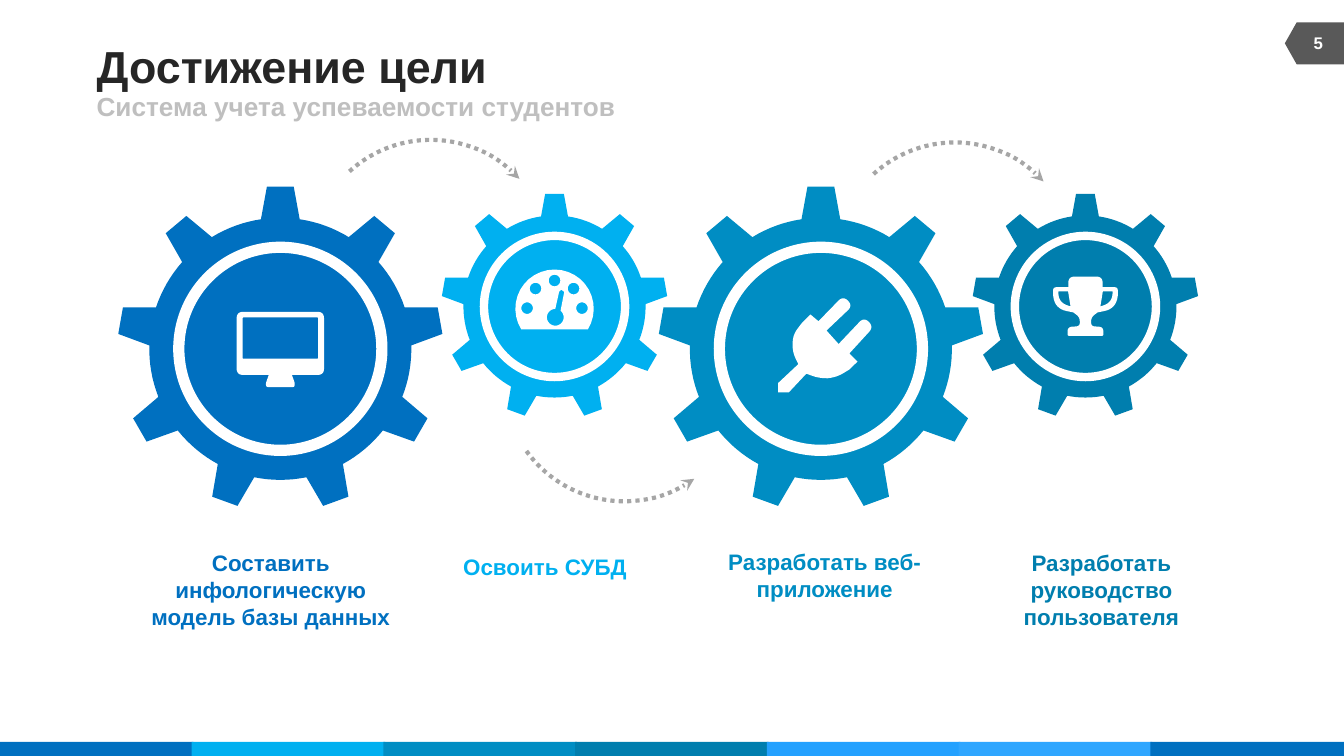
"""Build the goal-achievement slide with four linked gears."""
from dataclasses import dataclass
from itertools import chain
from math import cos, hypot, radians, sin
from typing import Any, NamedTuple, Sequence

from lxml import etree
from pptx import Presentation
from pptx import util as u
from pptx.dml.color import RGBColor
from pptx.enum import dml, shapes, text
from pptx.oxml.ns import qn


@dataclass(frozen=True)
class Theme:
    font: str = "Arial"
    blue: str = "0070C0"
    sky: str = "00B0F0"
    teal: str = "008DC3"
    deep: str = "007EAE"
    azure: str = "23A1FF"
    light: str = "2FA6FF"
    white: str = "FFFFFF"
    ink: str = "262626"
    muted: str = "BFBFBF"
    arrow: str = "A6A6A6"
    tag: str = "595959"
    title_size: float = 24
    subtitle_size: float = 14
    caption_size: float = 12
    number_size: float = 9


class Point(NamedTuple):
    x: float
    y: float


class Corner(NamedTuple):
    x: float
    y: float
    radius: float = 0


class Box(NamedTuple):
    left: float
    top: float
    width: float
    height: float


@dataclass(frozen=True)
class Label:
    words: str
    box: Box
    size: float
    color: str
    align: Any = text.PP_ALIGN.CENTER


@dataclass(frozen=True)
class Gear:
    center: Point
    scale: float
    color: str
    icon: Sequence[Sequence[Point]]


@dataclass(frozen=True)
class Arrow:
    box: Box
    rotation: float
    flipped: bool = False


THEME = Theme()


def apply(target: Any, values: dict[str, Any]) -> None:
    for name, value in values.items():
        setattr(target, name, value)


def emu(box: Box) -> list[int]:
    return [u.Pt(length) for length in box]


def arc(center: Point, radius: float, start: float, end: float, steps: int = 24) -> list[Point]:
    angles = [radians(start + (end - start) * step / steps) for step in range(steps + 1)]
    return [Point(center.x + radius * cos(a), center.y + radius * sin(a)) for a in angles]


def toward(corner: Corner, other: Corner) -> Point:
    ratio = corner.radius / hypot(other.x - corner.x, other.y - corner.y)
    return Point(corner.x + (other.x - corner.x) * ratio, corner.y + (other.y - corner.y) * ratio)


def rounded(*vertices: tuple[float, ...]) -> list[Point]:
    corners = [Corner(*vertex) for vertex in vertices]
    points = []
    for index, corner in enumerate(corners):
        if not corner.radius:
            points.append(Point(corner.x, corner.y))
            continue
        enter = toward(corner, corners[index - 1])
        leave = toward(corner, corners[(index + 1) % len(corners)])
        for t in (step / 8 for step in range(9)):
            weights = (1 - t) ** 2, 2 * t * (1 - t), t ** 2
            points.append(Point(*(sum(w * p[axis] for w, p in zip(weights, (enter, corner, leave)))
                                  for axis in (0, 1))))
    return points


def mirrored(points: Sequence[Point]) -> list[Point]:
    return [Point(-point.x, point.y) for point in reversed(points)]


def symmetric(*vertices: tuple[float, ...]) -> list[Point]:
    left = [(-vertex[0], *vertex[1:]) for vertex in reversed(vertices)]
    return rounded(*vertices, *left)


def gear_outline(teeth: int = 9) -> list[Point]:
    tooth = [Point(-10.4, -69.4), Point(-7.2, -86.9), Point(7.2, -86.9)]
    step = 360 / teeth
    unit = tooth + arc(Point(0, 0), 70.2, -81.5, -98.5 + step, 8)
    turns = [radians(step * index) for index in range(teeth)]
    return [Point(p.x * cos(a) - p.y * sin(a), p.x * sin(a) + p.y * cos(a)) for a in turns for p in unit]


def paint(shape: Any, color: str) -> None:
    shape.shadow.inherit = False
    shape.fill.solid()
    shape.fill.fore_color.rgb = RGBColor.from_string(color)
    shape.line.fill.background()


def draw_outline(parent: Any, contours: Sequence[Sequence[Point]], center: Point, scale: float, color: str) -> None:
    builder = None
    for contour in contours:
        points = [(u.Pt(center.x + scale * p.x), u.Pt(center.y + scale * p.y)) for p in contour]
        if builder is None:
            builder = parent.build_freeform(*points[0])
        else:
            builder.move_to(*points[0])
        builder.add_line_segments(points[1:], close=True)
    paint(builder.convert_to_shape(), color)


def draw_gear(slide: Any, gear: Gear) -> None:
    group = slide.shapes.add_group_shape().shapes
    draw_outline(group, [gear_outline()], gear.center, gear.scale, gear.color)
    size = 108.8 * gear.scale
    box = Box(gear.center.x - size / 2, gear.center.y - size / 2, size, size)
    ring = group.add_shape(shapes.MSO_SHAPE.OVAL, *emu(box))
    paint(ring, gear.color)
    ring.line.color.rgb = RGBColor.from_string(THEME.white)
    ring.line.width = u.Pt(6 if gear.scale == 1 else 4.5)


def draw_arrow(slide: Any, arrow: Arrow) -> None:
    shape = slide.shapes.add_shape(shapes.MSO_SHAPE.ARC, *emu(arrow.box))
    shape.shadow.inherit = False
    shape.fill.background()
    shape.line.color.rgb = RGBColor.from_string(THEME.arrow)
    apply(shape.line, {"width": u.Pt(2.25), "dash_style": dml.MSO_LINE.ROUND_DOT})
    shape.rotation = arrow.rotation
    properties = shape.element.spPr
    if arrow.flipped:
        properties.find(qn("a:xfrm")).set("flipV", "1")
    etree.SubElement(properties.find(qn("a:ln")), qn("a:tailEnd"), type="stealth")


def draw_label(slide: Any, label: Label) -> None:
    frame = slide.shapes.add_textbox(*emu(label.box)).text_frame
    apply(frame, {"word_wrap": True, "vertical_anchor": text.MSO_ANCHOR.MIDDLE, "margin_left": 0,
                  "margin_right": 0, "margin_top": 0, "margin_bottom": 0})
    paragraph = frame.paragraphs[0]
    paragraph.alignment = label.align
    run = paragraph.add_run()
    run.text = label.words
    apply(run.font, {"name": THEME.font, "size": u.Pt(label.size), "bold": True})
    run.font.color.rgb = RGBColor.from_string(label.color)


def draw_block(slide: Any, kind: Any, box: Box, color: str, rotation: float = 0) -> None:
    shape = slide.shapes.add_shape(kind, *emu(box))
    shape.rotation = rotation
    paint(shape, color)


def main() -> None:
    presentation = Presentation()
    apply(presentation, {"slide_width": u.Pt(720), "slide_height": u.Pt(405)})
    slide = presentation.slides.add_slide(presentation.slide_layouts[6])
    colors = (THEME.blue, THEME.sky, THEME.teal, THEME.deep)
    stripes = (*colors, THEME.azure, THEME.light, THEME.blue)
    for index, color in enumerate(stripes):
        draw_block(slide, shapes.MSO_SHAPE.RECTANGLE, Box(index * 102.72, 397.5, 103.68, 7.5), color)
    draw_block(slide, shapes.MSO_SHAPE.FLOWCHART_OFFPAGE_CONNECTOR, Box(692.9, 7.4, 22.5, 31.7), THEME.tag, 90)

    monitor = [symmetric((23.4, -19.8, 3.5), (23.4, 14, 3.5), (6.2, 14), (7.8, 18.5, 1), (7.5, 20.5, 1)),
               symmetric((20.2, -16.8, 0.5), (20.2, 5.3, 0.5))]
    dots = ((-14.7, 0.9), (-10.2, -9.6), (0, -13.9), (10.2, -9.6), (14.7, 0.9))
    gauge = [arc(Point(0, 1.2), 21, 148, 392),
             *(arc(Point(*dot), 3.1, 0, 360) for dot in dots),
             arc(Point(0.4, 5.8), 4.5, -51, 270) + rounded((2.5, -8), (3.6, -9), (5.2, -7.8))]
    plug = [rounded((23.1, -17, 3.7), (28.3, -11.8, 3.7), (15.2, 2.5), (19.6, 6.8), (15.2, 11.1), (8, 15.5, 5),
                    (-0.6, 16, 5), (-7.8, 13.3), (-17.2, 23.3), (-22.9, 23.3), (-22.9, 18.3), (-12.1, 8.2),
                    (-15.3, 1.5, 4), (-15, -7.5, 4), (-10, -14.1), (-5.6, -18.4), (-1.3, -14.8),
                    (11.9, -28.4, 3.7), (17.1, -23.2, 3.7), (3, -9.8), (9.5, -2.6))]
    handle = rounded((9.3, -8), (14.5, -8), (14.5, -2.2, 5), (8, 0))
    trophy = [symmetric((9.2, -16, 3.5), (9.2, -10.3), (17.3, -10.3, 1.8), (17.3, -5.8), (16.4, 1.2, 6.5),
                        (6.5, 3.2), (3.1, 5.8, 2), (3, 10.6, 2), (9.6, 11, 2.5), (9.6, 15.8, 1)),
              handle, mirrored(handle)]
    centers = (Point(150.2, 186.9), Point(297.1, 164.2), Point(439.8, 186.9), Point(581.5, 164.2))
    gears = [Gear(*parts) for parts in zip(centers, (1, 0.695, 1, 0.695), colors, (monitor, gauge, plug, trophy))]
    for gear in gears:
        draw_gear(slide, gear)
    for arrow in (Arrow(Box(166.3, 74.9, 128.9, 128.9), 317.5), Arrow(Box(447.1, 76.3, 128.9, 128.9), 317.5),
                  Arrow(Box(270, 139.7, 128.9, 128.9), 54.4, True)):
        draw_arrow(slide, arrow)
    for gear in gears:
        draw_outline(slide.shapes, gear.icon, gear.center, 1, THEME.white)

    left = text.PP_ALIGN.LEFT
    headings = (Label("Достижение цели", Box(51.8, 20.9, 444, 28), THEME.title_size, THEME.ink, left),
                Label("Система учета успеваемости студентов", Box(51.8, 49, 324, 16),
                      THEME.subtitle_size, THEME.muted, left),
                Label("5", Box(691.2, 12.2, 30.2, 21.6), THEME.number_size, THEME.white))
    captions = (("Составить инфологическую модель базы данных", Box(79.9, 293.8, 130.3, 43.9)),
                ("Освоить СУБД", Box(226.8, 296.6, 130.3, 14.4)),
                ("Разработать веб-приложение", Box(376.6, 293.8, 130.3, 28.8)),
                ("Разработать руководство пользователя", Box(524.9, 293.8, 130.3, 43.9)))
    steps = (Label(words, box, THEME.caption_size, color) for (words, box), color in zip(captions, colors))
    for label in chain(headings, steps):
        draw_label(slide, label)
    presentation.save("out.pptx")


if __name__ == "__main__":
    main()
